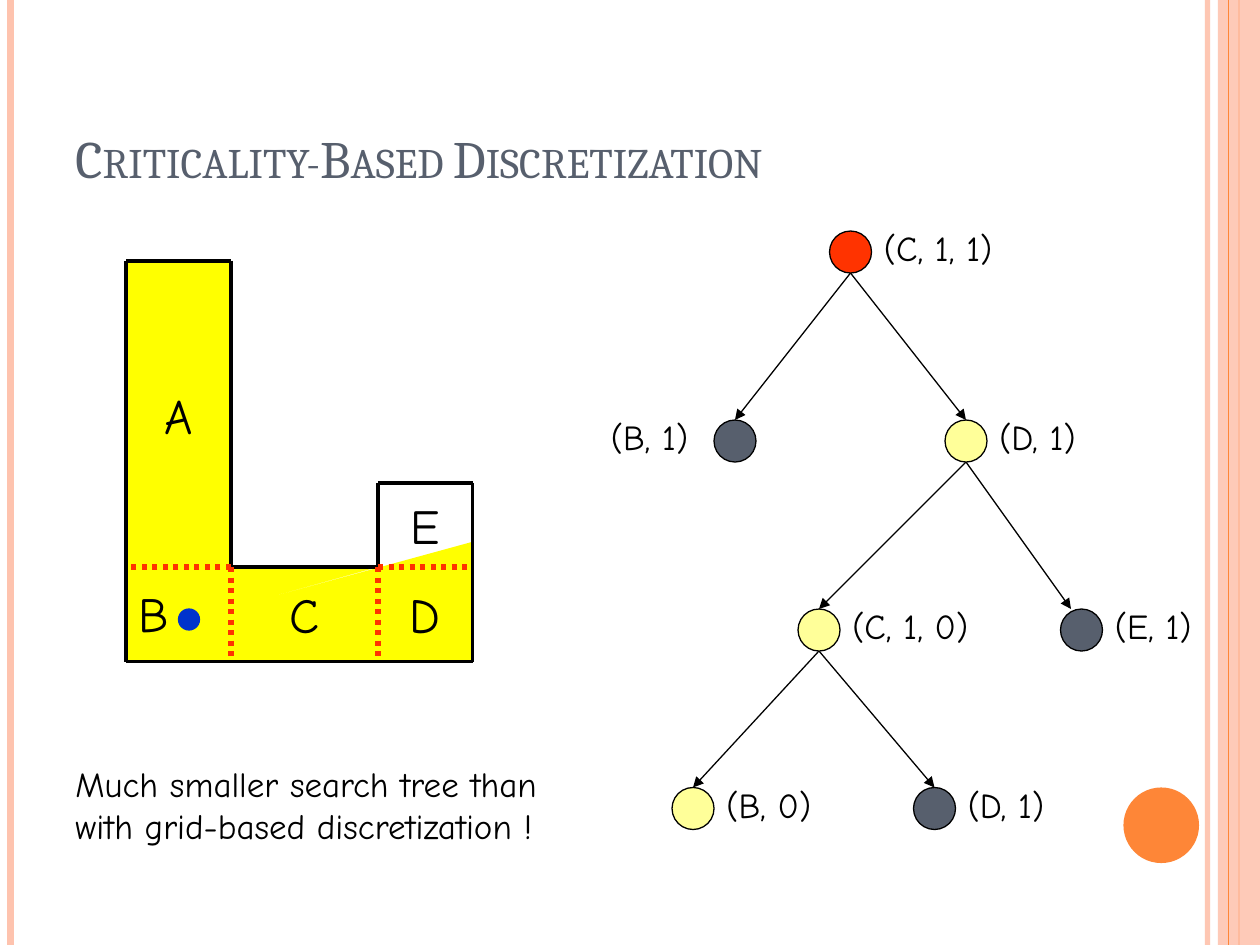
from itertools import pairwise
from lxml.etree import SubElement
from pptx import Presentation
from pptx.dml.color import RGBColor as RGB
from pptx.enum.dml import MSO_LINE as Dash
from pptx.enum.shapes import MSO_CONNECTOR as Link, MSO_SHAPE as Shape
from pptx.enum.text import MSO_ANCHOR as Anchor, PP_ALIGN as Align
from pptx.oxml.ns import qn
from pptx.util import Pt

THEME = {
    "peach": "FEC3AE", "orange": "FE8637", "slate": "575F6D",
    "yellow": "FFFF00", "pale": "FFFF99", "red": "FF3300",
    "blue": "0033CC", "black": "000000",
    "head": ("Cambria", 30), "room": ("Comic Neue", 28), "body": ("Comic Neue", 20),
}

TITLE = "Criticality-Based Discretization"
NOTE = ["Much smaller search tree than", "with grid-based discretization !"]

BARS = [(690, "peach", 3, 93), (6, "peach", 4.5, 100), (708, "orange", 1.5, 100)]
BAND = (696, 0, 24, 540)
RULE = (702, "orange", 0.75, 100)
BADGE = (642, 450, 43.2, 43.2)

WALLS = [(132, 149), (132, 324), (216, 324), (216, 276), (270, 276),
         (270, 378), (72, 378), (72, 149), (132, 149)]
SEEN = [(108, 354), (270, 309.6), (270, 378), (72, 378), (72, 324), (216, 324)]
HALL = (72, 150, 60, 174)
CUTS = [((132, 324), (72, 324)), ((216, 324), (270, 324)),
        ((132, 324), (132, 378)), ((216, 324), (216, 378))]
ROOMS = [("A", HALL), ("C", (132, 324, 84, 54)),
         ("D", (216, 324, 54, 54)), ("E", (216, 276, 54, 48))]
ROBOT = (102, 348, 12, 12)

SIZE = 24
NODES = {
    "root": ("(C, 1, 1)", 486, 132, "red", 82),
    "right": ("(D, 1)", 552, 240, "pale", 64),
    "left": ("(B, 1)", 420, 240, "slate", 63),
    "east": ("(E, 1)", 618, 348, "slate", 62),
    "mid": ("(C, 1, 0)", 468, 348, "pale", 86),
    "low": ("(B, 0)", 396, 450, "pale", 65),
    "end": ("(D, 1)", 534, 450, "slate", 64),
}
EDGES = [("root", "left"), ("root", "right"), ("right", "mid"),
         ("right", "east"), ("mid", "low"), ("mid", "end")]
TIPS = {"east": 612}
LABELS = {"left": 342}

deck = Presentation()
deck.slide_width, deck.slide_height = Pt(720), Pt(540)
page = deck.slides.add_slide(deck.slide_layouts[6])
shapes = page.shapes


def tint(name):
    return RGB.from_string(THEME[name])


def paint(fill, name, alpha=100):
    fill.solid()
    fill.fore_color.rgb = tint(name)
    if alpha < 100:
        color = next(fill._xPr.iter(qn("a:srgbClr")))
        SubElement(color, qn("a:alpha"), val=str(alpha * 1000))


def finish(shape, fill, edge=None, alpha=100):
    shape.shadow.inherit = False
    paint(shape.fill, fill, alpha)
    if edge:
        paint(shape.line.fill, edge)
        shape.line.width = Pt(0.75)
    else:
        shape.line.fill.background()


def draw(kind, box, fill, edge=None, alpha=100):
    finish(shapes.add_shape(kind, *map(Pt, box)), fill, edge, alpha)


def link(start, stop, color, width, alpha=100, dash=None, arrow=False):
    item = shapes.add_connector(Link.STRAIGHT, *map(Pt, (*start, *stop)))
    paint(item.line.fill, color, alpha)
    item.line.width = Pt(width)
    if dash:
        item.line.dash_style = dash
    if arrow:
        SubElement(item.line._get_or_add_ln(), qn("a:tailEnd"), type="triangle")
    SubElement(item._element.spPr, qn("a:effectLst"))


def write(lines, box, style, color="black", anchor=Anchor.TOP, align=Align.LEFT, wrap=False):
    frame = shapes.add_textbox(*map(Pt, box)).text_frame
    frame.word_wrap = wrap
    frame.vertical_anchor = anchor
    frame.text = "\n".join(lines)
    name, size = THEME[style]
    for para in frame.paragraphs:
        para.alignment = align
        para.font.name, para.font.size = name, Pt(size)
        para.font.color.rgb = tint(color)
    return frame


def bar(x, color, width, alpha):
    link((x, 0), (x, 540), color, width, alpha)


for item in BARS:
    bar(*item)
draw(Shape.RECTANGLE, BAND, "peach", alpha=87)
bar(*RULE)
draw(Shape.OVAL, BADGE, "orange")

pen = shapes.build_freeform(*map(Pt, SEEN[0]))
pen.add_line_segments([(Pt(x), Pt(y)) for x, y in SEEN[1:]])
finish(pen.convert_to_shape(), "yellow")
draw(Shape.RECTANGLE, HALL, "yellow")
for start, stop in pairwise(WALLS):
    link(start, stop, "black", 2.25)
for start, stop in CUTS:
    link(start, stop, "red", 3, dash=Dash.ROUND_DOT)

head = write([TITLE], (36, 21.6, 588, 90), "head", "slate", Anchor.BOTTOM, wrap=True)
head.paragraphs[0].runs[0]._r.get_or_add_rPr().set("cap", "small")
for name, box in ROOMS:
    write([name], box, "room", anchor=Anchor.MIDDLE, align=Align.CENTER)

for start, stop in EDGES:
    _, x, y, _, _ = NODES[start]
    _, tip, top, _, _ = NODES[stop]
    link((x, y + SIZE), (TIPS.get(stop, tip), top), "black", 0.75, arrow=True)
for key, (label, x, y, color, width) in NODES.items():
    draw(Shape.OVAL, (x - SIZE / 2, y, SIZE, SIZE), color, "black")
    write([label], (LABELS.get(key, x + SIZE / 2), y - 6, width, 31), "body")

write(NOTE, (36, 432, 308, 55.5), "body")
draw(Shape.OVAL, ROBOT, "blue", "blue")
write(["B"], (72, 330, 32.4, 41), "room")

deck.save("out.pptx")
